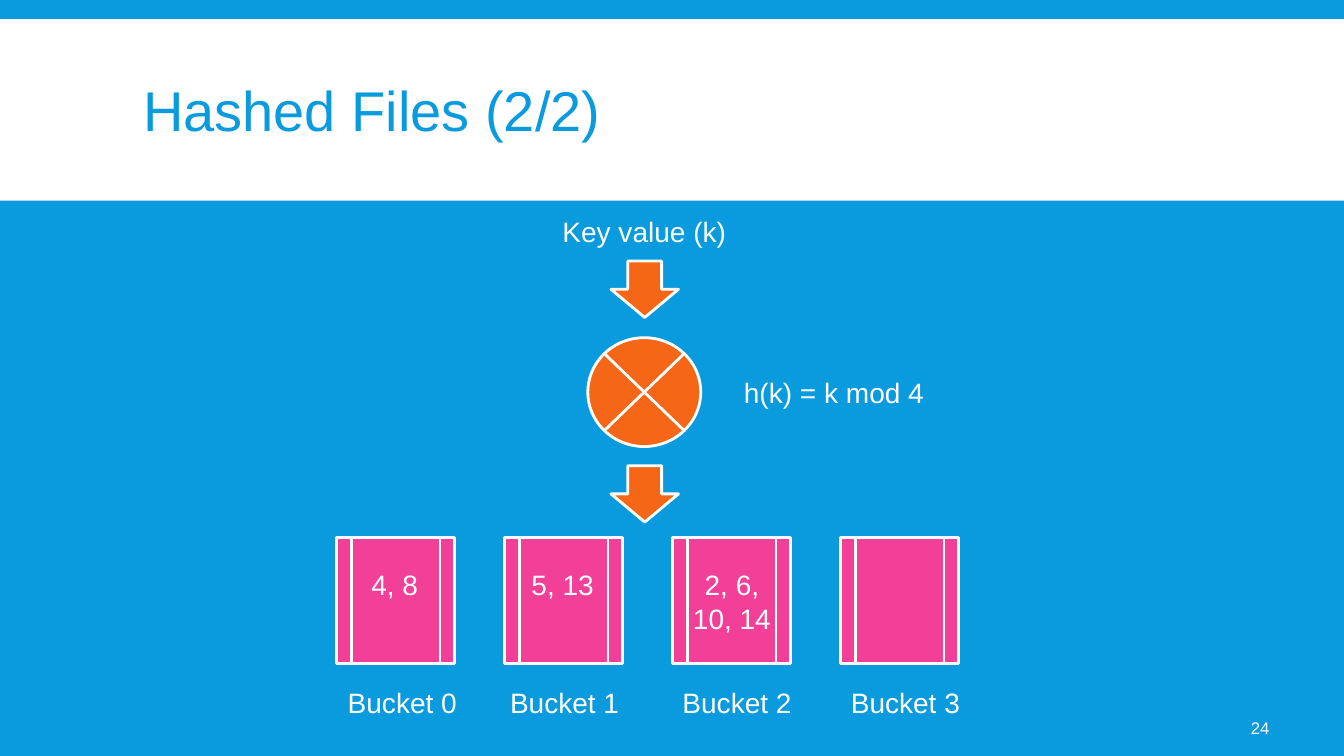
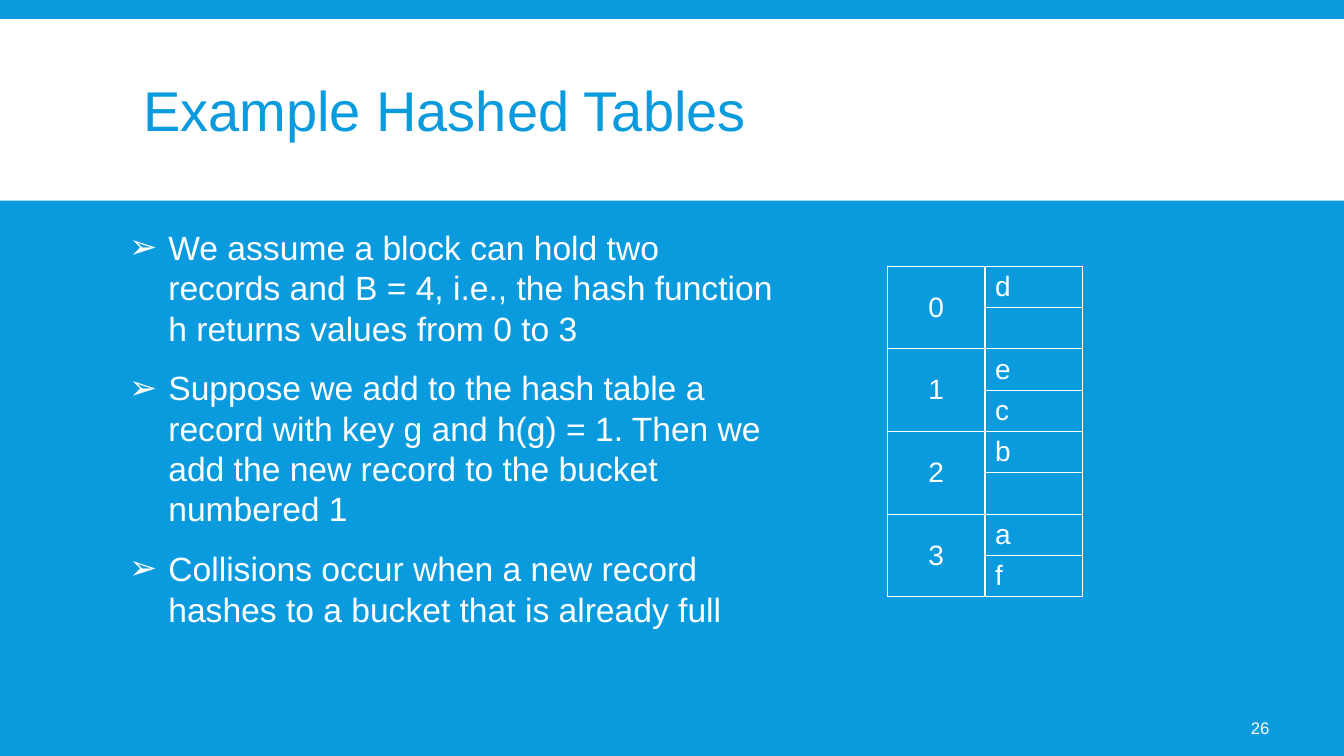
from dataclasses import dataclass

from pptx import Presentation
from pptx.dml.color import RGBColor
from pptx.enum.shapes import MSO_SHAPE as Preset
from pptx.enum.text import MSO_ANCHOR as Anchor, MSO_AUTO_SIZE as AutoSize, PP_ALIGN as Align
from pptx.oxml.ns import qn
from pptx.presentation import Presentation as Deck
from pptx.shapes.autoshape import Shape
from pptx.slide import Slide
from pptx.table import _Cell as Cell
from pptx.text.text import TextFrame
from pptx.util import Inches, Pt
from lxml.etree import SubElement, Element

BLUE = RGBColor(0x09, 0x9B, 0xDD)
WHITE = RGBColor(0xFF, 0xFF, 0xFF)
PINK = RGBColor(0xF2, 0x40, 0x99)
ORANGE = RGBColor(0xF5, 0x66, 0x17)
FONT = "Arial"
TITLE_LAYOUT, TITLE_BODY_LAYOUT = 5, 1


@dataclass(frozen=True)
class Box:
    """A place on the slide, in inches."""
    left: float
    top: float
    width: float
    height: float

    def emu(self) -> tuple:
        """Return left, top, width and height as lengths."""
        return tuple(Inches(v) for v in (self.left, self.top, self.width, self.height))


@dataclass(frozen=True)
class Bucket:
    """A bucket with its keys, and the places of its two texts."""
    name: str
    keys: tuple
    keys_left: float
    keys_width: float
    name_left: float


@dataclass(frozen=True)
class Block:
    """A bucket number and the two records its block can hold."""
    number: str
    records: tuple


SLIDE = Box(0, 0, 13.33, 7.5)
BAND = Box(0, 0.19, 13.33, 1.8)
TITLE = Box(1.32, 0.31, 10.7, 1.65)
PAGE_NUMBER = Box(11.66, 7.02, 1.03, 0.4)

BUCKETS = (
    Bucket("Bucket 0", ("4, 8",), 3.48, 0.87, 3.35),
    Bucket("Bucket 1", ("5, 13",), 5.14, 0.88, 4.96),
    Bucket("Bucket 2", ("2, 6,", "10, 14"), 6.76, 1, 6.67),
    Bucket("Bucket 3", (), 8.43, 1, 8.34),
)
BUCKET_LEFT, BUCKET_STEP = 3.34, 5 / 3
ARROW_TOPS = (2.59, 4.62)

HASHING_POINTS = (
    "We assume a block can hold two records and B = 4, i.e., "
    "the hash function h returns values from 0 to 3",
    "Suppose we add to the hash table a record with key g and h(g) = 1. "
    "Then we add the new record to the bucket numbered 1",
    "Collisions occur when a new record hashes to a bucket that is already full",
)
BLOCKS = (
    Block("0", ("d", "")),
    Block("1", ("e", "c")),
    Block("2", ("b", "")),
    Block("3", ("a", "f")),
)
HASH_TABLE = Box(8.8, 2.64, 1.94, 3.28)


def write(frame: TextFrame, *lines: str, size: float = 20, color: RGBColor = WHITE,
          align: Align = Align.LEFT, anchor: Anchor = Anchor.TOP,
          spacing: float | None = None, before: float = 0, after: float = 0) -> None:
    """Fill a text frame with one paragraph per line, all in one format."""
    frame.word_wrap = True
    frame.auto_size = AutoSize.NONE
    frame.vertical_anchor = anchor
    for index, line in enumerate(lines):
        paragraph = frame.paragraphs[0] if index == 0 else frame.add_paragraph()
        paragraph.alignment = align
        paragraph.line_spacing = spacing
        paragraph.space_before, paragraph.space_after = Pt(before), Pt(after)
        run = paragraph.add_run()
        run.text = line
        run.font.name, run.font.size = FONT, Pt(size)
        run.font.color.rgb = color


def add_text(slide: Slide, box: Box, *lines: str, **text_format) -> Shape:
    """Add a text box."""
    label = slide.shapes.add_textbox(*box.emu())
    write(label.text_frame, *lines, **text_format)
    return label


def add_figure(slide: Slide, preset: Preset, box: Box, fill: RGBColor,
               outlined: bool = True) -> Shape:
    """Add a flat preset shape, with a white outline unless told otherwise."""
    figure = slide.shapes.add_shape(preset, *box.emu())
    figure.shadow.inherit = False
    figure.fill.solid()
    figure.fill.fore_color.rgb = fill
    if outlined:
        figure.line.color.rgb = WHITE
        figure.line.width = Pt(2)
    else:
        figure.line.fill.background()
    return figure


def place(placeholder: Shape, box: Box) -> None:
    """Move a placeholder to a box."""
    (placeholder.left, placeholder.top,
     placeholder.width, placeholder.height) = box.emu()


def style_master(deck: Deck, slide: Slide) -> None:
    """Give the master its blue background and the white title band."""
    master = deck.slide_master
    master.background.fill.solid()
    master.background.fill.fore_color.rgb = BLUE
    band = add_figure(slide, Preset.RECTANGLE, BAND, WHITE, outlined=False).element
    band.nvSpPr.cNvPr.set("id", "100")
    master.shapes.element.insert(2, band)


def start_slide(deck: Deck, layout: int, title: str, page: str) -> Slide:
    """Add a slide with its title and page number."""
    slide = deck.slides.add_slide(deck.slide_layouts[layout])
    place(slide.shapes.title, TITLE)
    write(slide.shapes.title.text_frame, title, size=40, color=BLUE,
          anchor=Anchor.MIDDLE, spacing=0.85)
    number = add_text(slide, PAGE_NUMBER, page, size=12, align=Align.RIGHT,
                      anchor=Anchor.MIDDLE)
    number.text_frame.margin_left = Inches(0.05)
    return slide


def add_bullets(frame: TextFrame, char: str, indent: float) -> None:
    """Give every paragraph a white bullet and a hanging indent."""
    for paragraph in frame.paragraphs:
        properties = paragraph._p.get_or_add_pPr()
        properties.set("marL", str(Inches(indent)))
        properties.set("indent", str(-Inches(indent)))
        color = SubElement(properties, qn("a:buClr"))
        SubElement(color, qn("a:srgbClr"), val=str(WHITE))
        SubElement(properties, qn("a:buFont"), typeface=FONT)
        SubElement(properties, qn("a:buChar"), char=char)


def frame_cell(cell: Cell) -> None:
    """Clear the fill of a cell and draw thin white borders."""
    cell.fill.background()
    properties = cell._tc.get_or_add_tcPr()
    for index, side in enumerate(("lnL", "lnR", "lnT", "lnB")):
        border = Element(qn(f"a:{side}"), w=str(Pt(1)))
        fill = SubElement(border, qn("a:solidFill"))
        SubElement(fill, qn("a:srgbClr"), val=str(WHITE))
        properties.insert(index, border)


def add_hash_table(slide: Slide) -> None:
    """Add the table of bucket numbers and their records."""
    table = slide.shapes.add_table(2 * len(BLOCKS), 2, *HASH_TABLE.emu()).table
    table.first_row = table.horz_banding = False
    for cell in table.iter_cells():
        frame_cell(cell)
    for index, block in enumerate(BLOCKS):
        top = 2 * index
        number = table.cell(top, 0)
        number.merge(table.cell(top + 1, 0))
        write(number.text_frame, block.number, align=Align.CENTER)
        number.vertical_anchor = Anchor.MIDDLE
        for offset, record in enumerate(block.records):
            if record:
                write(table.cell(top + offset, 1).text_frame, record)


def draw_hashed_files(slide: Slide) -> None:
    """Draw the way from a key through the hash function to the buckets."""
    for index, bucket in enumerate(BUCKETS):
        left = BUCKET_LEFT + index * BUCKET_STEP
        add_figure(slide, Preset.FLOWCHART_PREDEFINED_PROCESS,
                   Box(left, 5.33, 1.17, 1.25), PINK)
        if bucket.keys:
            add_text(slide, Box(bucket.keys_left, 5.58, bucket.keys_width, 0.77),
                     *bucket.keys, align=Align.CENTER)
        add_text(slide, Box(bucket.name_left, 6.75, 1.88, 0.44), bucket.name)
    add_figure(slide, Preset.FLOWCHART_SUMMING_JUNCTION, Box(5.83, 3.35, 1.12, 1.08), ORANGE)
    for top in ARROW_TOPS:
        add_figure(slide, Preset.DOWN_ARROW, Box(6.06, top, 0.67, 0.56), ORANGE)
    add_text(slide, Box(5.33, 2.08, 2.12, 0.44), "Key value (k)", align=Align.CENTER)
    add_text(slide, Box(7.28, 3.68, 2.33, 0.44), "h(k) = k mod 4")


def draw_hashed_tables(slide: Slide) -> None:
    """Write the points on hashing beside the hash table."""
    points = slide.placeholders[1]
    place(points, Box(1.18, 2.2, 6.62, 4.6))
    write(points.text_frame, *HASHING_POINTS, size=24, before=12, after=2)
    add_bullets(points.text_frame, "\u27a2", 0.39)
    add_hash_table(slide)


def main() -> None:
    """Build and save the deck."""
    deck = Presentation()
    deck.slide_width, deck.slide_height = Inches(SLIDE.width), Inches(SLIDE.height)
    hashed_files = start_slide(deck, TITLE_LAYOUT, "Hashed Files (2/2)", "24")
    style_master(deck, hashed_files)
    draw_hashed_files(hashed_files)
    draw_hashed_tables(start_slide(deck, TITLE_BODY_LAYOUT, "Example Hashed Tables", "26"))
    deck.save("out.pptx")


main()
